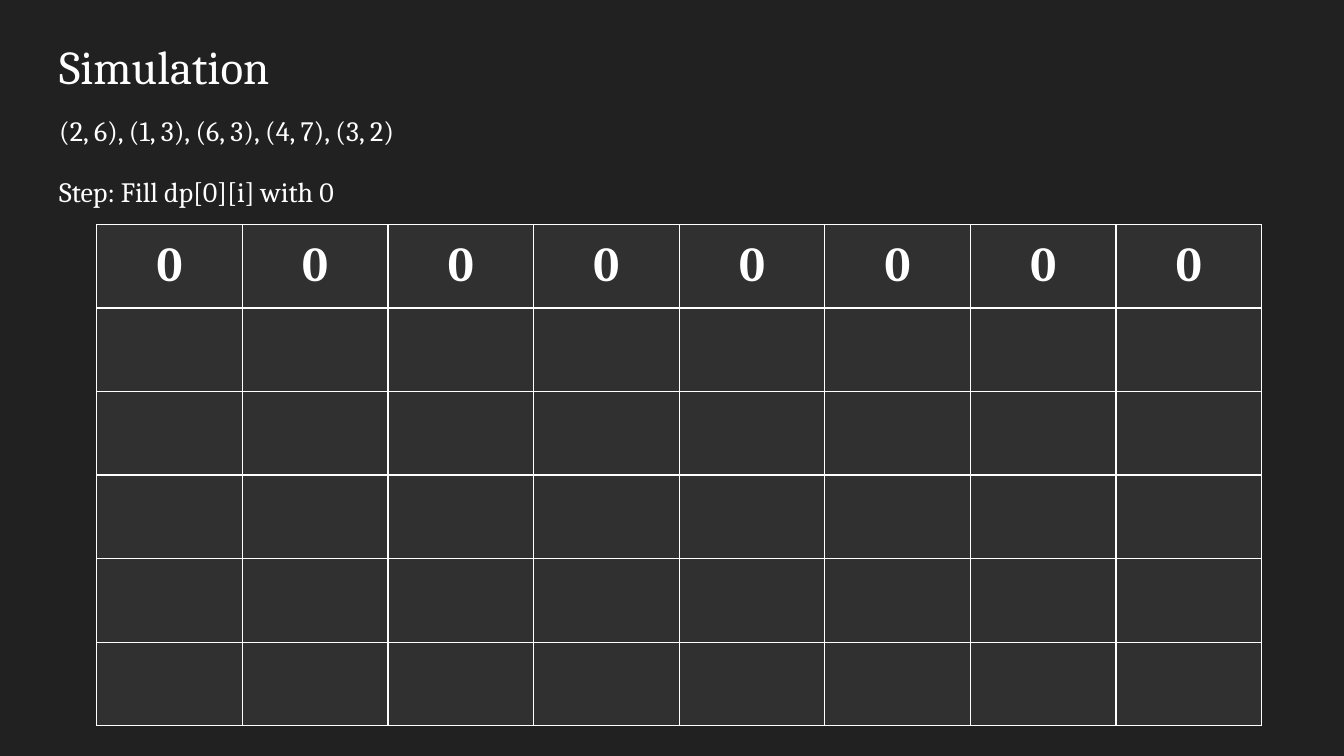
from lxml import etree
from pptx import Presentation
from pptx.dml.color import RGBColor
from pptx.enum import text as t
from pptx.oxml.ns import qn
from pptx.util import Inches, Pt

FONT = "Cambria"
WHITE, DARK, GREY = "FFFFFF", "212121", "303030"
ROWS, COLS = 6, 8


def paint(fill, color):
    fill.solid()
    fill.fore_color.rgb = RGBColor.from_string(color)


def style(para, size, align, bold=False):
    para.alignment = align
    font = para.font
    font.name, font.size, font.bold = FONT, Pt(size), bold
    paint(font.fill, WHITE)


def place(shape, box):
    """Move a placeholder to its box and reset its text frame."""
    shape.left, shape.top, shape.width, shape.height = map(Inches, box)
    frame = shape.text_frame
    frame.word_wrap = True
    frame.auto_size = t.MSO_AUTO_SIZE.NONE
    frame.vertical_anchor = t.MSO_ANCHOR.TOP
    frame.margin_left = frame.margin_right = Inches(0.1)
    frame.margin_top = frame.margin_bottom = Inches(0.1)
    return frame


def add_title(slide, box, title):
    frame = place(slide.shapes.title, box)
    frame.text = title
    style(frame.paragraphs[0], 25.2, t.PP_ALIGN.LEFT)


def add_body(slide, box, lines):
    frame = place(slide.placeholders[1], box)
    frame.text = "\n".join(lines)
    for i, para in enumerate(frame.paragraphs):
        style(para, 15, t.PP_ALIGN.LEFT)
        para.line_spacing = 1.15
        para.space_before = Pt(12 if i else 0)
        # Plain lines without bullet or indent
        props = para._p.get_or_add_pPr()
        props.set("marL", "0")
        props.set("indent", "0")
        props.insert_element_before(
            props.makeelement(qn("a:buNone")), "a:tabLst", "a:defRPr", "a:extLst")


def add_edges(cell):
    """Draw a thin white line on all four sides of a cell."""
    props = cell._tc.get_or_add_tcPr()
    for i, side in enumerate(("lnL", "lnR", "lnT", "lnB")):
        line = props.makeelement(qn("a:" + side), {"w": str(Pt(0.75))})
        fill = etree.SubElement(line, qn("a:solidFill"))
        etree.SubElement(fill, qn("a:srgbClr"), val=WHITE)
        props.insert(i, line)


def add_grid(slide, box, first):
    """Table of equal cells with values in the first row."""
    table = slide.shapes.add_table(ROWS, COLS, *map(Inches, box)).table
    table.first_row = table.horz_banding = False
    for col in table.columns:
        col.width = Inches(box[2] / COLS)
    for row in table.rows:
        row.height = Inches(box[3] / ROWS)
    for cell in table.iter_cells():
        cell.margin_left = cell.margin_right = Inches(0.1)
        cell.margin_top = cell.margin_bottom = Inches(0.1)
        paint(cell.fill, GREY)
        add_edges(cell)
    for cell, value in zip(table.rows[0].cells, first):
        cell.text = value
        style(cell.text_frame.paragraphs[0], 26, t.PP_ALIGN.CENTER, True)


# Widescreen slide, 16 to 9
deck = Presentation()
deck.slide_width = Inches(10)
deck.slide_height = Inches(10 * 9 / 16)
slide = deck.slides.add_slide(deck.slide_layouts[1])
paint(slide.background.fill, DARK)

add_title(slide, (0.34, 0.18, 9.32, 0.63), "Simulation")
add_body(slide, (0.34, 0.71, 9.32, 4.39), [
    "(2, 6), (1, 3), (6, 3), (4, 7), (3, 2)",
    "Step: Fill dp[0][i] with 0",
])
add_grid(slide, (0.72, 1.67, 8.67, 3.73), ["0"] * COLS)

deck.save("out.pptx")
